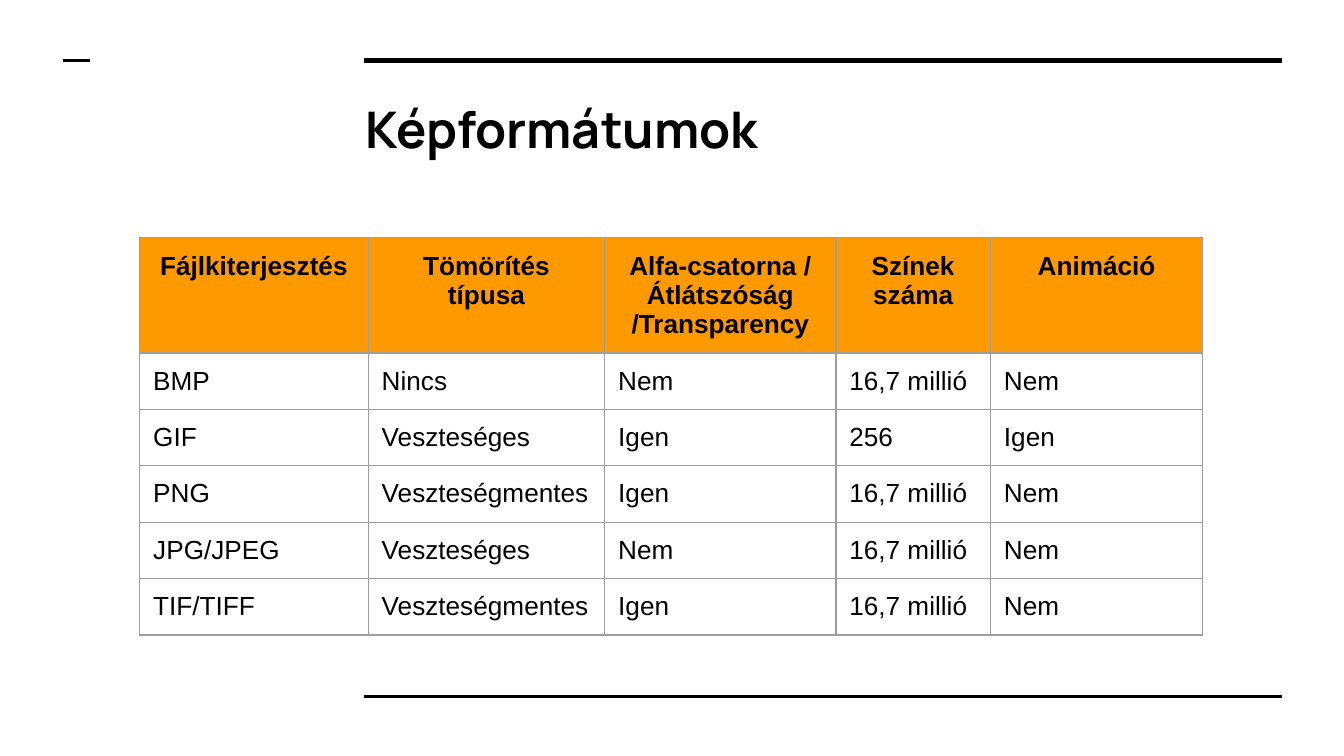
from lxml import etree
from pptx import Presentation
from pptx.dml.color import RGBColor
from pptx.enum.shapes import MSO_CONNECTOR
from pptx.enum.text import MSO_ANCHOR, PP_ALIGN
from pptx.oxml.ns import qn
from pptx.util import Inches, Pt

LINE = MSO_CONNECTOR.STRAIGHT
TOP = MSO_ANCHOR.TOP
LEFT, CENTER = PP_ALIGN.LEFT, PP_ALIGN.CENTER

COLORS = {"ink": "000000", "head": "FF9900", "grid": "9E9E9E", "page": "FFFFFF"}
WIDE = 10
HIGH = WIDE * 9 / 16
PAD = 0.1
COLS = [1.7, 1.76, 1.72, 1.15, 1.58]
ROW = 0.42
ROWS = [
    ["Fájlkiterjesztés", "Tömörítés típusa",
     "Alfa-csatorna / Átlátszóság /Transparency", "Színek száma", "Animáció"],
    ["BMP", "Nincs", "Nem", "16,7 millió", "Nem"],
    ["GIF", "Veszteséges", "Igen", "256", "Igen"],
    ["PNG", "Veszteségmentes", "Igen", "16,7 millió", "Nem"],
    ["JPG/JPEG", "Veszteséges", "Nem", "16,7 millió", "Nem"],
    ["TIF/TIFF", "Veszteségmentes", "Igen", "16,7 millió", "Nem"],
]


def color(name):
    return RGBColor.from_string(COLORS[name])


def write(para, text, size, font, bold, align):
    para.alignment = align
    run = para.add_run()
    run.text = text
    run.font.size = Pt(size)
    run.font.name = font
    run.font.bold = bold
    run.font.color.rgb = color("ink")


def pad(item):
    item.margin_left = item.margin_right = Inches(PAD)
    item.margin_top = item.margin_bottom = Inches(PAD)


def add_rule(slide, left, top, width, weight):
    rule = slide.shapes.add_connector(
        LINE, Inches(left), Inches(top), Inches(left + width), Inches(top))
    rule.line.color.rgb = color("ink")
    rule.line.width = Pt(weight)
    etree.SubElement(rule._element.spPr, qn("a:effectLst"))


def add_frame(slide, left, top, width, height):
    add_rule(slide, left, top, width, 3)
    add_rule(slide, left, top + height, width, 1.5)
    add_rule(slide, left - 2.24, top, 0.2, 1.5)


def add_title(slide, left, top, width, height):
    title = slide.shapes.title
    title.left, title.top = Inches(left), Inches(top)
    title.width, title.height = Inches(width), Inches(height)
    frame = title.text_frame
    frame.word_wrap = True
    frame.vertical_anchor = TOP
    pad(frame)
    write(frame.paragraphs[0], "Képformátumok", 27, "Manrope", True, LEFT)


def add_edges(cell):
    props = cell._tc.get_or_add_tcPr()
    for side in ("lnL", "lnR", "lnT", "lnB"):
        edge = etree.SubElement(props, qn("a:" + side), w=str(Pt(0.75)))
        fill = etree.SubElement(edge, qn("a:solidFill"))
        etree.SubElement(fill, qn("a:srgbClr"), val=COLORS["grid"])


def fill_cell(cell, text, head):
    pad(cell)
    add_edges(cell)
    if head:
        cell.fill.solid()
        cell.fill.fore_color.rgb = color("head")
    else:
        cell.fill.background()
    para = cell.text_frame.paragraphs[0]
    write(para, text, 14, "Arial", head, CENTER if head else LEFT)


def add_grid(slide, left, top):
    shape = slide.shapes.add_table(
        len(ROWS), len(COLS), Inches(left), Inches(top),
        Inches(sum(COLS)), Inches(ROW * len(ROWS)))
    table = shape.table
    table.first_row = table.horz_banding = False
    for col, width in zip(table.columns, COLS):
        col.width = Inches(width)
    for r, texts in enumerate(ROWS):
        table.rows[r].height = Inches(ROW)
        for c, text in enumerate(texts):
            fill_cell(table.cell(r, c), text, r == 0)


def main():
    deck = Presentation()
    deck.slide_width, deck.slide_height = Inches(WIDE), Inches(HIGH)
    slide = deck.slides.add_slide(deck.slide_layouts[5])
    slide.background.fill.solid()
    slide.background.fill.fore_color.rgb = color("page")
    add_frame(slide, 2.71, 0.45, 6.83, 4.73)
    add_title(slide, 2.62, 0.63, 6.91, 0.69)
    add_grid(slide, 1.04, 1.77)
    deck.save("out.pptx")


if __name__ == "__main__":
    main()
